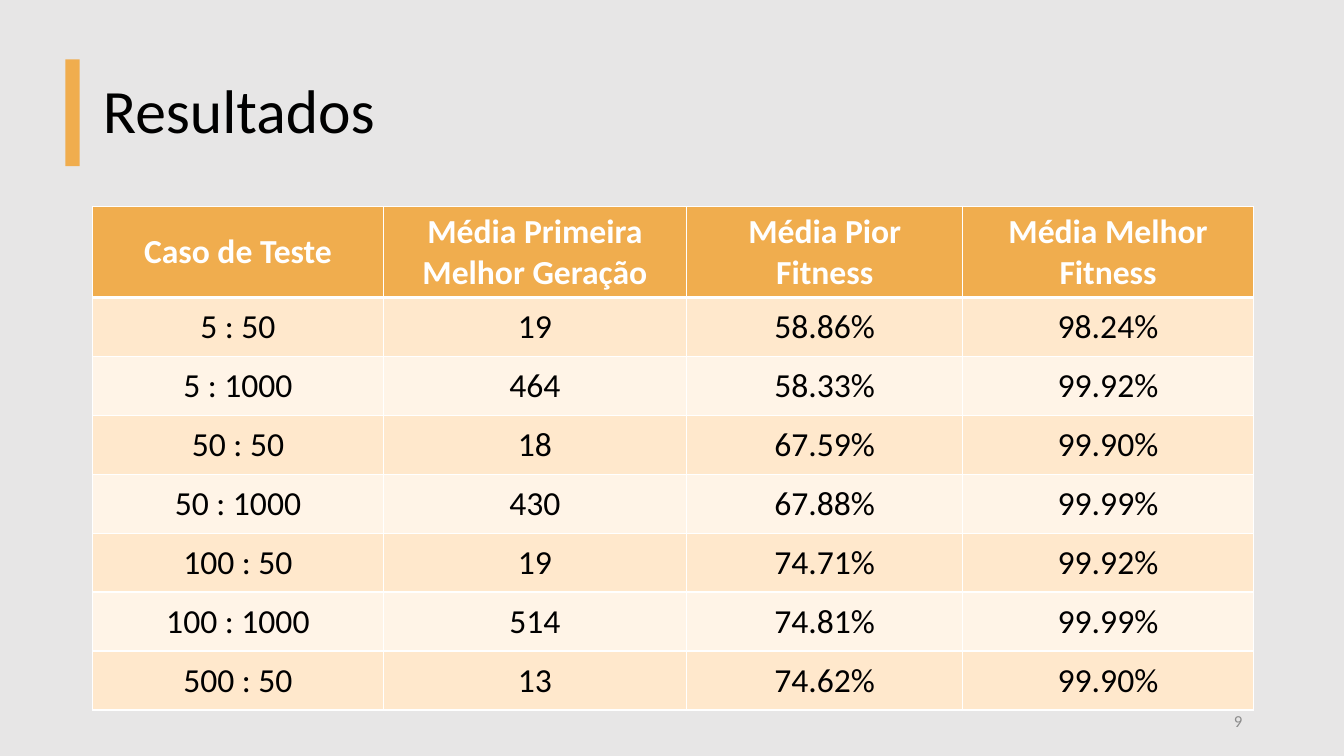
from lxml.etree import SubElement
from pptx import Presentation
from pptx.dml.color import RGBColor
from pptx.enum.shapes import MSO_SHAPE
from pptx.enum.text import MSO_ANCHOR, PP_ALIGN
from pptx.oxml.ns import qn
from pptx.util import Inches, Pt

FONT = "Calibri"
COLORS = {
    "background": "E7E6E6",
    "accent": "F0AD4E",
    "dark_band": "FFE8CC",
    "light_band": "FFF4E7",
    "white": "FFFFFF",
    "black": "000000",
    "gray": "8C8C8C",
}
COLUMN_WIDTHS = [2.88, 3.01, 2.74, 2.88]
HEADER_HEIGHT = 0.89
ROW_HEIGHT = 0.585
RESULTS = [
    ["Caso de Teste", "Média Primeira Melhor Geração", "Média Pior Fitness", "Média Melhor Fitness"],
    ["5 : 50", "19", "58.86%", "98.24%"],
    ["5 : 1000", "464", "58.33%", "99.92%"],
    ["50 : 50", "18", "67.59%", "99.90%"],
    ["50 : 1000", "430", "67.88%", "99.99%"],
    ["100 : 50", "19", "74.71%", "99.92%"],
    ["100 : 1000", "514", "74.81%", "99.99%"],
    ["500 : 50", "13", "74.62%", "99.90%"],
]


def set_fill(fill, color):
    fill.solid()
    fill.fore_color.rgb = RGBColor.from_string(COLORS[color])


def write_text(text_frame, text, size, color, alignment, bold=False):
    text_frame.text = text
    paragraph = text_frame.paragraphs[0]
    paragraph.alignment = alignment
    font = paragraph.runs[0].font
    font.name = FONT
    font.size = Pt(size)
    font.bold = bold
    font.color.rgb = RGBColor.from_string(COLORS[color])


def place_title(slide, text):
    title = slide.shapes.title
    title.left, title.top = Inches(0.92), Inches(0.4)
    title.width, title.height = Inches(11.5), Inches(1.45)
    write_text(title.text_frame, text, 44, "black", PP_ALIGN.LEFT)
    title.text_frame.vertical_anchor = MSO_ANCHOR.MIDDLE
    title.text_frame.paragraphs[0].line_spacing = 0.9


def add_accent_bar(slide):
    bar = slide.shapes.add_shape(
        MSO_SHAPE.RECTANGLE, Inches(0.65), Inches(0.59), Inches(0.14), Inches(1.06)
    )
    bar.shadow.inherit = False
    set_fill(bar.fill, "accent")
    bar.line.fill.background()


def add_page_number(slide, number):
    box = slide.shapes.add_textbox(Inches(9.42), Inches(6.95), Inches(3), Inches(0.4))
    box.text_frame.word_wrap = True
    box.text_frame.vertical_anchor = MSO_ANCHOR.MIDDLE
    write_text(box.text_frame, number, 12, "gray", PP_ALIGN.RIGHT)


def set_borders(cell, top, bottom):
    properties = cell._tc.get_or_add_tcPr()
    widths = {"a:lnL": 1, "a:lnR": 1, "a:lnT": top, "a:lnB": bottom}
    for position, (tag, width) in enumerate(widths.items()):
        line = SubElement(properties, qn(tag), w=str(Pt(width)))
        fill = SubElement(line, qn("a:solidFill"))
        SubElement(fill, qn("a:srgbClr"), val=COLORS["white"])
        properties.insert(position, line)


def format_cell(cell, text, row_index):
    is_header = row_index == 0
    text_color = "white" if is_header else "black"
    write_text(cell.text_frame, text, 24, text_color, PP_ALIGN.CENTER, is_header)
    cell.vertical_anchor = MSO_ANCHOR.MIDDLE
    if is_header:
        set_fill(cell.fill, "accent")
    else:
        set_fill(cell.fill, "dark_band" if row_index % 2 else "light_band")
        cell.margin_left = cell.margin_top = cell.margin_right = Inches(0.01)
        cell.margin_bottom = 0
    set_borders(cell, 3 if row_index == 1 else 1, 3 if is_header else 1)


def add_results_table(slide):
    height = HEADER_HEIGHT + ROW_HEIGHT * (len(RESULTS) - 1)
    table = slide.shapes.add_table(
        len(RESULTS), len(COLUMN_WIDTHS),
        Inches(0.92), Inches(2.05), Inches(sum(COLUMN_WIDTHS)), Inches(height),
    ).table
    for column, width in zip(table.columns, COLUMN_WIDTHS):
        column.width = Inches(width)
    for row_index, values in enumerate(RESULTS):
        table.rows[row_index].height = Inches(ROW_HEIGHT if row_index else HEADER_HEIGHT)
        for column_index, value in enumerate(values):
            format_cell(table.cell(row_index, column_index), value, row_index)


def main():
    presentation = Presentation()
    presentation.slide_width = Inches(13.33)
    presentation.slide_height = Inches(7.5)
    slide = presentation.slides.add_slide(presentation.slide_layouts[5])
    set_fill(slide.background.fill, "background")
    place_title(slide, "Resultados")
    add_accent_bar(slide)
    add_page_number(slide, "9")
    add_results_table(slide)
    presentation.save("out.pptx")


if __name__ == "__main__":
    main()
